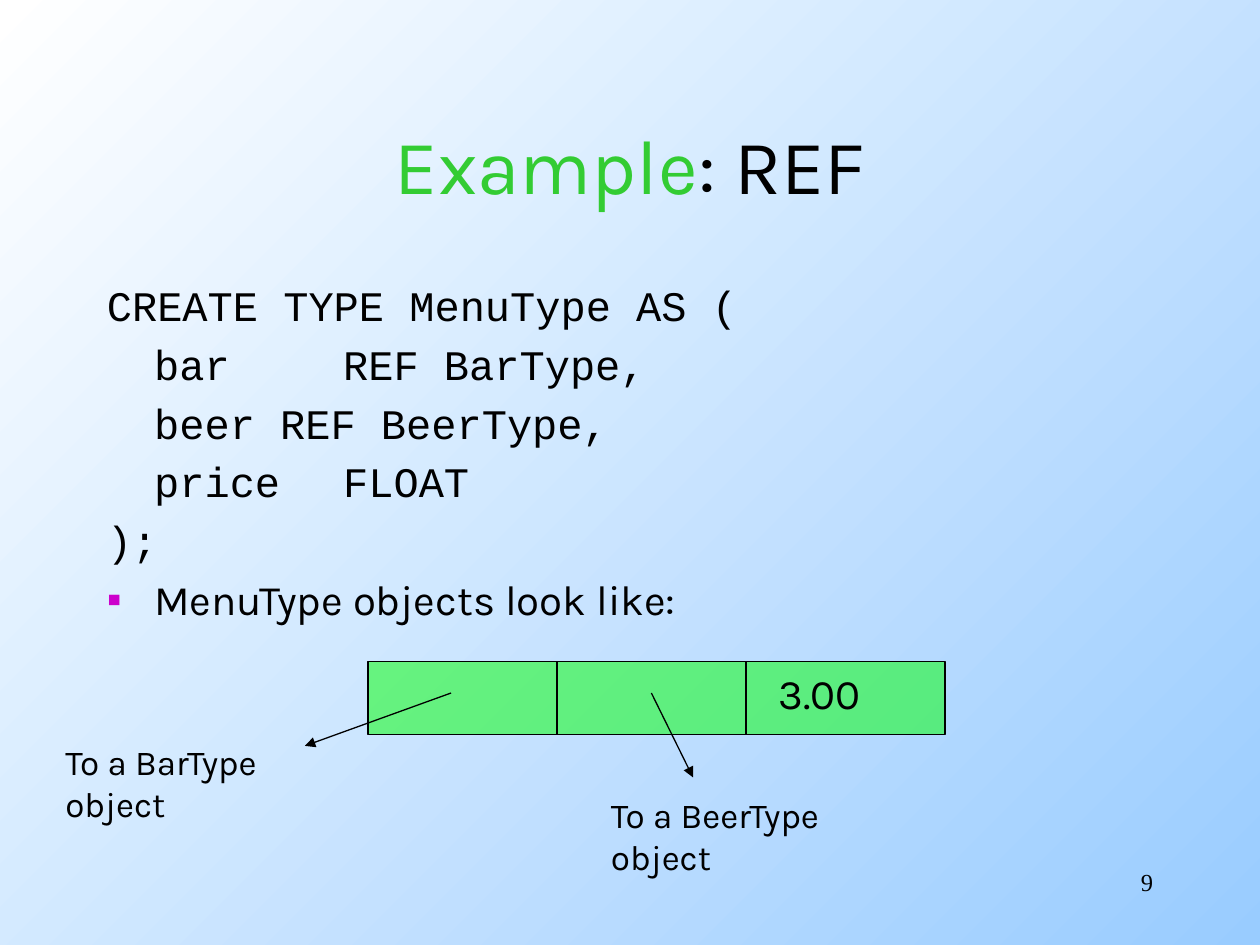
from lxml.etree import SubElement
from pptx import Presentation
from pptx.dml.color import RGBColor
from pptx.enum.shapes import MSO_CONNECTOR, MSO_SHAPE
from pptx.enum.text import MSO_ANCHOR, PP_ALIGN
from pptx.oxml.ns import qn
from pptx.util import Inches, Pt

SANS, MONO, SERIF = "Karla", "Courier New", "Times New Roman"
BLACK, GREEN, PURPLE = "000000", "33CC33", "CC00CC"
TITLE = [("Example", GREEN), (": REF", BLACK)]
CODE = [
    "CREATE TYPE MenuType AS (",
    "\tbar\t\tREF BarType,",
    "\tbeer\tREF BeerType,",
    "\tprice\tFLOAT",
    ");",
]
POINT = "MenuType objects look like:"
# text, box, size, font, alignment, wrap
LABELS = [
    ("9", (7.17, 6.83, 2.08, 0.5), 14, SERIF, PP_ALIGN.RIGHT, True),
    ("3.00", (6.08, 5.25, 0.85, 0.5), 24, SANS, PP_ALIGN.LEFT, False),
    ("To a BarType\nobject", (0.42, 5.83, 1.84, 0.77), 20, SANS, PP_ALIGN.LEFT, False),
    ("To a BeerType\nobject", (4.75, 6.25, 1.99, 0.77), 20, SANS, PP_ALIGN.LEFT, False),
]
RECORD = (2.92, 5.25, 4.58, 0.58)
FIELD = 1.5
ARROWS = [((3.58, 5.5), (2.42, 5.92)), ((5.17, 5.5), (5.5, 6.17))]


def color(code):
    """Turn a hex string into a colour."""
    return RGBColor.from_string(code)


def style(para, font, size, code=BLACK):
    """Format every run of a paragraph."""
    for run in para.runs:
        run.font.name, run.font.size = font, Pt(size)
        run.font.color.rgb = color(code)


def frame(box, wrap=True):
    """Add a text box and return its text frame."""
    text = slide.shapes.add_textbox(*map(Inches, box)).text_frame
    text.word_wrap = wrap
    return text


def label(words, box, size, font, align, wrap):
    """Add a text box, one paragraph to each line."""
    text = frame(box, wrap)
    text.text = words
    for para in text.paragraphs:
        para.alignment = align
        style(para, font, size)


def title():
    """Add the two-coloured heading."""
    text = frame((0.75, 0.67, 8.5, 1.25))
    text.vertical_anchor = MSO_ANCHOR.MIDDLE
    para = text.paragraphs[0]
    para.alignment = PP_ALIGN.CENTER
    for words, code in TITLE:
        run = para.add_run()
        run.text = words
        run.font.name, run.font.size = SANS, Pt(44)
        run.font.color.rgb = color(code)


def bullet(props):
    """Give a paragraph a small square bullet."""
    tint = SubElement(props, qn("a:buClr"))
    SubElement(tint, qn("a:srgbClr"), val=PURPLE)
    SubElement(props, qn("a:buFont"), typeface="Arial")
    SubElement(props, qn("a:buChar"), char="▪")


def body():
    """Add the code lines and the bullet point with hanging indents."""
    text = frame((0.75, 2.17, 8.5, 4.5))
    text.text = "\n".join(CODE + [POINT])
    for para in text.paragraphs:
        props = para._p.get_or_add_pPr()
        props.set("marL", str(Inches(0.375)))
        props.set("indent", str(-Inches(0.375)))
        spacing = SubElement(props, qn("a:spcBef"))
        SubElement(spacing, qn("a:spcPct"), val="20000")
        style(para, MONO, 24)
    style(para, SANS, 24)
    bullet(props)


def line(start, end, arrow=False):
    """Draw a thin black line, with an arrowhead if asked."""
    link = slide.shapes.add_connector(
        MSO_CONNECTOR.STRAIGHT, *map(Inches, start + end))
    link.line.color.rgb, link.line.width = color(BLACK), Pt(0.75)
    if arrow:
        SubElement(link.line._get_or_add_ln(), qn("a:tailEnd"), type="triangle")
    SubElement(link._element.spPr, qn("a:effectLst"))


def record():
    """Draw the half-clear record and its field dividers."""
    left, top, width, height = RECORD
    bar = slide.shapes.add_shape(MSO_SHAPE.RECTANGLE, *map(Inches, RECORD))
    bar.shadow.inherit = False
    bar.fill.solid()
    bar.fill.fore_color.rgb = color("00FF00")
    tint = bar._element.spPr.find(qn("a:solidFill"))[0]
    SubElement(tint, qn("a:alpha"), val="50000")
    bar.line.color.rgb, bar.line.width = color(BLACK), Pt(0.75)
    for step in (1, 2):
        x = left + step * FIELD
        line((x, top), (x, top + height))


deck = Presentation()
deck.slide_width, deck.slide_height = Inches(10), Inches(7.5)
slide = deck.slides.add_slide(deck.slide_layouts[6])
back = slide.background.fill
back.gradient()
back.gradient_angle = 315
for stop, (place, code) in zip(back.gradient_stops, [(0, "FFFFFF"), (1, "99CCFF")]):
    stop.position, stop.color.rgb = place, color(code)

title()
body()
record()
for start, end in ARROWS:
    line(start, end, arrow=True)
for item in LABELS:
    label(*item)
deck.save("out.pptx")
